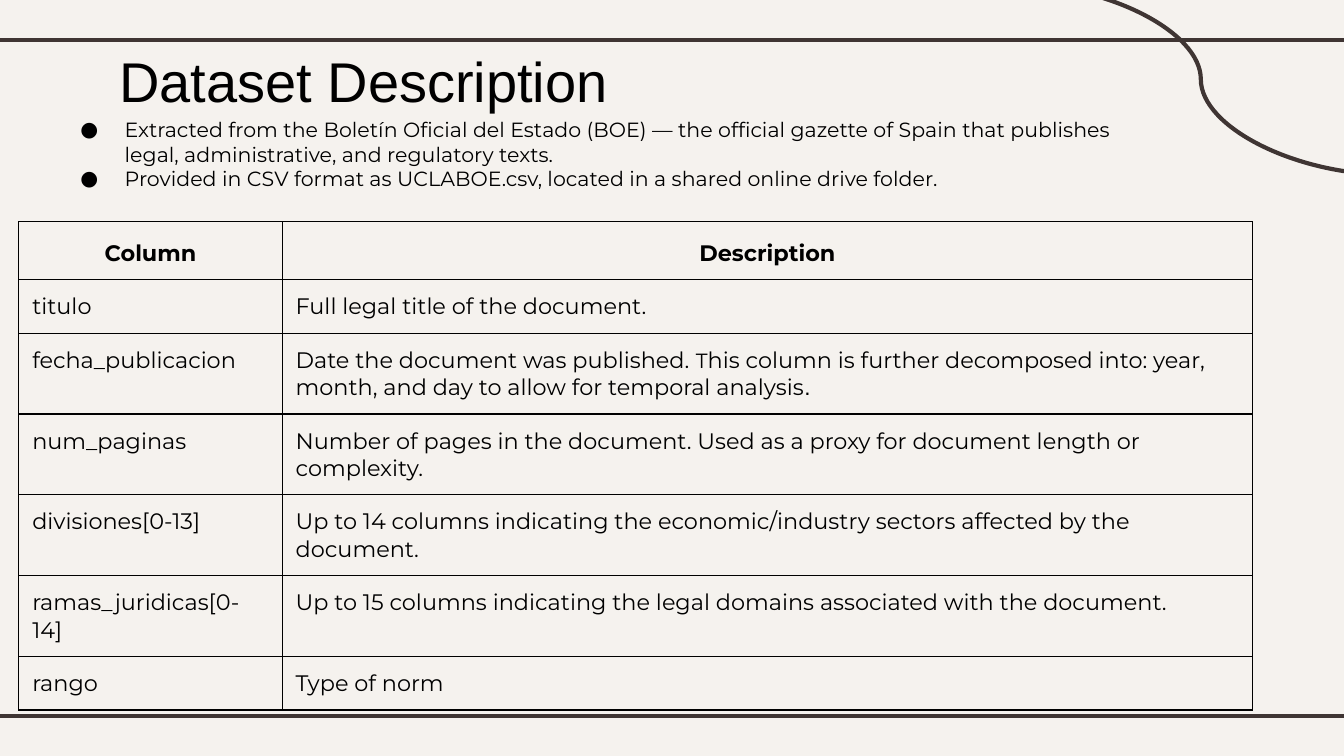
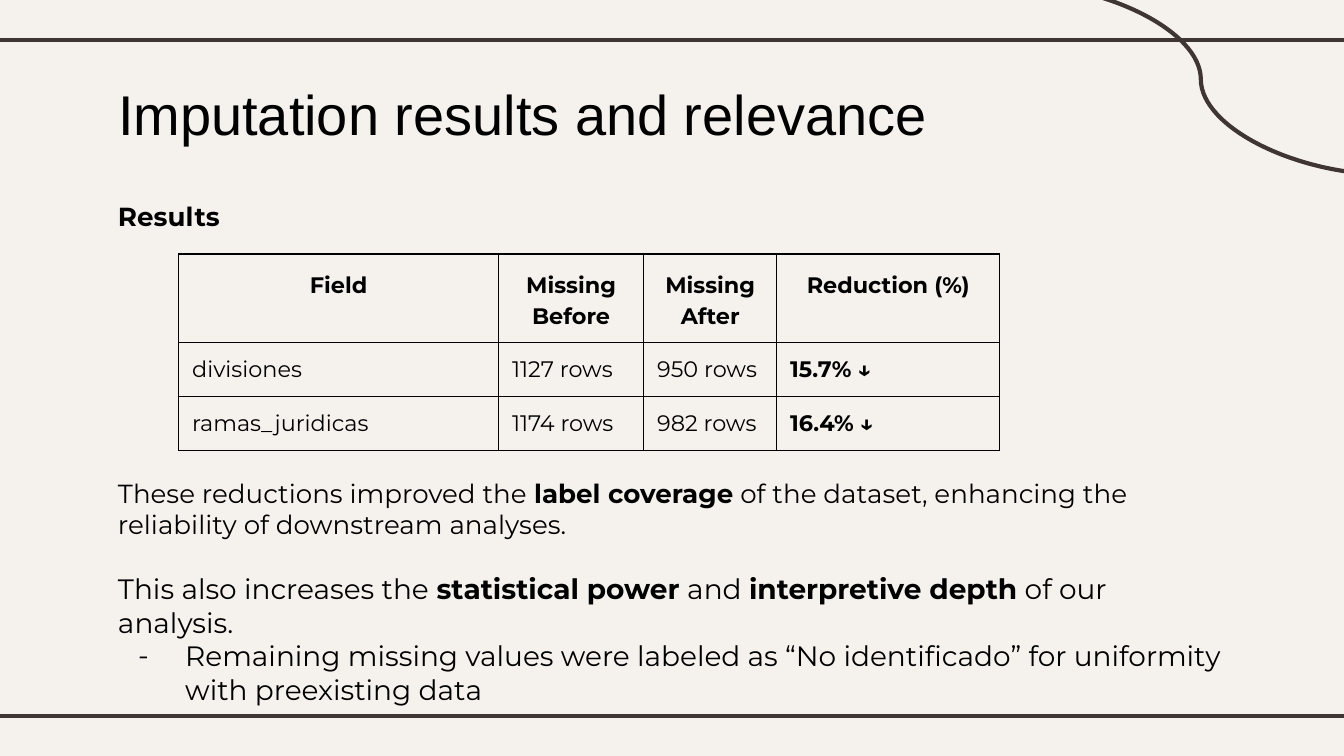
import dataclasses

import lxml.etree
import pptx
import pptx.dml.color
import pptx.enum.shapes
import pptx.enum.text
import pptx.oxml.ns
import pptx.util

Inches = pptx.util.Inches
Pt = pptx.util.Pt
RGB = pptx.dml.color.RGBColor
CONNECTOR = pptx.enum.shapes.MSO_CONNECTOR
qn = pptx.oxml.ns.qn


@dataclasses.dataclass(frozen=True)
class Theme:
    background: str = "F5F2EE"
    rule: str = "3F3533"
    ink: str = "000000"
    title_font: str = "Arial"
    body_font: str = "Montserrat"
    title_size: float = 30
    list_size: float = 11
    table_size: float = 12
    text_size: float = 14
    large_size: float = 15
    rule_width: float = 2.25
    border_width: float = 0.75
    inset: float = 0.1


theme = Theme()


def add_runs(p, text, size, font=theme.body_font):
    for i, part in enumerate(text.split("**")):
        if part:
            r = p.add_run()
            r.text = part
            r.font.name = font
            r.font.size = Pt(size)
            r.font.bold = i % 2 == 1
            r.font.color.rgb = RGB.from_string(theme.ink)


def add_solid(parent, color):
    fill = lxml.etree.SubElement(parent, qn("a:solidFill"))
    lxml.etree.SubElement(fill, qn("a:srgbClr"), val=color)


rules = [
    (CONNECTOR.STRAIGHT, -0.08, 0.3, 10.08, 0.3),
    (CONNECTOR.STRAIGHT, -0.08, 5.33, 10.08, 5.33),
    (CONNECTOR.CURVE, 7.53, -0.12, 10.34, 1.3),
]

slides = [
    {
        "title": ("Dataset Description", (0.79, 0.25, 5.15, 0.63)),
        "texts": [
            ((0.33, 0.77, 8.44, 3.6), [
                ("Extracted from the Boletín Oficial del Estado (BOE) — the official gazette of Spain "
                 "that publishes legal, administrative, and regulatory texts.", theme.list_size, "●", 0.33, 0),
                ("Provided in CSV format as UCLABOE.csv, located in a shared online drive folder.",
                 theme.list_size, "●", 0.33, 0),
            ]),
        ],
        "table": {
            "at": (0.14, 1.65),
            "cols": [1.96, 7.22],
            "rows": [0.38, 0.37, 0.53, 0.45, 0.45, 0.37, 0.37],
            "cells": [
                ["**Column**", "**Description**"],
                ["titulo", "Full legal title of the document."],
                ["fecha_publicacion", [
                    ("Date the document was published. ", theme.table_size, theme.body_font),
                    ("T", theme.list_size, theme.body_font),
                    ("his column is further decomposed into: year, month, and day to allow for "
                     "temporal analysis", theme.table_size, theme.body_font),
                    (".", theme.table_size, theme.title_font),
                ]],
                ["num_paginas", "Number of pages in the document. Used as a proxy for document length "
                                "or complexity."],
                ["divisiones[0-13]", "Up to 14 columns indicating the economic/industry sectors affected "
                                     "by the document."],
                ["ramas_juridicas[0-14]", "Up to 15 columns indicating the legal domains associated with "
                                          "the document."],
                ["rango", "Type of norm"],
            ],
        },
    },
    {
        "title": ("Imputation results and relevance", (0.78, 0.49, 7.75, 0.63)),
        "texts": [
            ((0.78, 1.39, 8.44, 3.6), [("**Results**", theme.text_size, None, 0, 0)]),
            ((0.78, 3.45, 8.43, 1.9), [
                ("These reductions improved the **label coverage** of the dataset, enhancing the "
                 "reliability of downstream analyses.", theme.text_size, None, 0, 0),
                ("This also increases the **statistical power** and **interpretive depth** of our "
                 "analysis.", theme.large_size, None, 0, 17),
                ("Remaining missing values were labeled as “No identificado” for uniformity with "
                 "preexisting data", theme.large_size, "-", 0.35, 0),
            ]),
        ],
        "table": {
            "at": (1.33, 1.89),
            "cols": [2.38, 1.08, 0.99, 1.66],
            "rows": [0.21] * 3,
            "cells": [
                ["**Field**", "**Missing Before**", "**Missing After**", "**Reduction (%)**"],
                ["divisiones", "1127 rows", "950 rows", "**15.7% ↓**"],
                ["ramas_juridicas", "1174 rows", "982 rows", "**16.4% ↓**"],
            ],
        },
    },
]

prs = pptx.Presentation()
prs.slide_width = Inches(10)
prs.slide_height = Inches(10 * 9 / 16)
fill = prs.slide_master.background.fill
fill.solid()
fill.fore_color.rgb = RGB.from_string(theme.background)

for content in slides:
    s = prs.slides.add_slide(prs.slide_layouts[6])

    for kind, *ends in rules:
        line = s.shapes.add_connector(kind, *map(Inches, ends))
        line.line.color.rgb = RGB.from_string(theme.rule)
        line.line.width = Pt(theme.rule_width)
        lxml.etree.SubElement(line._element.spPr, qn("a:effectLst"))

    title, title_at = content["title"]
    boxes = [(title_at, [(title, theme.title_size, None, 0, 0)], theme.title_font)]
    boxes += [(at, paragraphs, theme.body_font) for at, paragraphs in content["texts"]]
    for at, paragraphs, font in boxes:
        tf = s.shapes.add_textbox(*map(Inches, at)).text_frame
        tf.word_wrap = True
        tf.margin_left = tf.margin_right = tf.margin_top = tf.margin_bottom = Inches(theme.inset)
        for i, (text, size, bullet, hang, before) in enumerate(paragraphs):
            p = tf.add_paragraph() if i else tf.paragraphs[0]
            if bullet:
                pPr = p._p.get_or_add_pPr()
                pPr.set("marL", str(Inches(0.5)))
                pPr.set("indent", str(-Inches(hang)))
                color = lxml.etree.SubElement(pPr, qn("a:buClr"))
                lxml.etree.SubElement(color, qn("a:srgbClr"), val=theme.ink)
                lxml.etree.SubElement(pPr, qn("a:buSzPts"), val=str(size * 100))
                lxml.etree.SubElement(pPr, qn("a:buFont"), typeface=font)
                lxml.etree.SubElement(pPr, qn("a:buChar"), char=bullet)
            if before:
                p.space_before = Pt(before)
            add_runs(p, text, size, font)

    grid = content["table"]
    cols, rows = grid["cols"], grid["rows"]
    size = (*grid["at"], sum(cols), sum(rows))
    table = s.shapes.add_table(len(rows), len(cols), *map(Inches, size)).table
    table.first_row = False
    table.horz_banding = False
    for column, width in zip(table.columns, cols):
        column.width = Inches(width)
    for i, (row, height) in enumerate(zip(table.rows, rows)):
        row.height = Inches(height)
        for cell, value in zip(row.cells, grid["cells"][i]):
            cell.margin_left = cell.margin_right = Inches(theme.inset)
            cell.margin_top = cell.margin_bottom = Inches(theme.inset)
            tcPr = cell._tc.get_or_add_tcPr()
            for side in ("lnL", "lnR", "lnT", "lnB"):
                border = lxml.etree.SubElement(tcPr, qn("a:" + side), w=str(Pt(theme.border_width)))
                add_solid(border, theme.ink)
            cell.fill.background()
            p = cell.text_frame.paragraphs[0]
            if i == 0:
                p.alignment = pptx.enum.text.PP_ALIGN.CENTER
                p.line_spacing = 1.15
            runs = [(value, theme.table_size, theme.body_font)] if isinstance(value, str) else value
            for text, run_size, font in runs:
                add_runs(p, text, run_size, font)

prs.save("out.pptx")
